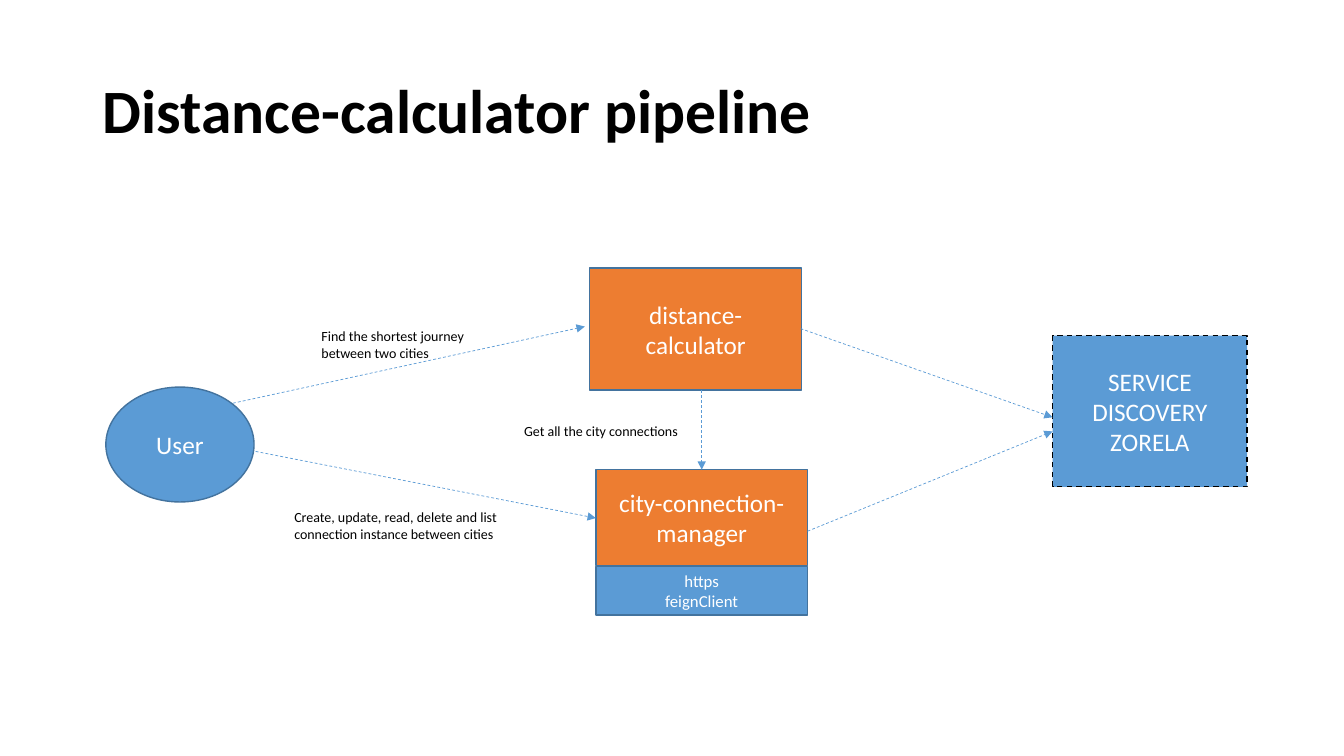
from dataclasses import dataclass

from lxml import etree
from pptx import Presentation
from pptx.dml.color import RGBColor
from pptx.enum.dml import MSO_LINE
from pptx.enum.shapes import MSO_CONNECTOR, MSO_SHAPE
from pptx.enum.text import MSO_ANCHOR, PP_ALIGN
from pptx.oxml.ns import qn
from pptx.util import Inches, Pt

RECT, OVAL = MSO_SHAPE.RECTANGLE, MSO_SHAPE.OVAL
STRAIGHT = MSO_CONNECTOR.STRAIGHT
DASH = MSO_LINE.DASH
TOP, MIDDLE = MSO_ANCHOR.TOP, MSO_ANCHOR.MIDDLE
LEFT, CENTER = PP_ALIGN.LEFT, PP_ALIGN.CENTER


@dataclass(frozen=True)
class Theme:
    font: str = "Calibri"
    blue: str = "5B9BD5"
    orange: str = "ED7D31"
    border: str = "43739E"
    black: str = "000000"
    white: str = "FFFFFF"
    title: int = 44
    node: int = 18
    detail: int = 12
    label: int = 10


THEME = Theme()


def rgb(value):
    return RGBColor.from_string(value)


def write(tf, lines, size, color, align=LEFT, anchor=TOP, bold=False, spacing=None):
    tf.vertical_anchor = anchor
    for i, line in enumerate(lines):
        p = tf.add_paragraph() if i else tf.paragraphs[0]
        p.text = line
        p.alignment = align
        p.line_spacing = spacing
        p.font.name = THEME.font
        p.font.size = Pt(size)
        p.font.bold = bold
        p.font.color.rgb = rgb(color)


def add_node(s, kind, box, lines, fill, size=THEME.node, border=THEME.border, dash=None):
    sp = s.shapes.add_shape(kind, *map(Inches, box))
    sp.shadow.inherit = False
    sp.fill.solid()
    sp.fill.fore_color.rgb = rgb(fill)
    sp.line.color.rgb = rgb(border)
    sp.line.width = Pt(1)
    if dash:
        sp.line.dash_style = dash
    sp.text_frame.word_wrap = True
    write(sp.text_frame, lines, size, THEME.white, CENTER, MIDDLE)


def add_text(s, box, lines, size, wrap=False, **style):
    tf = s.shapes.add_textbox(*map(Inches, box)).text_frame
    tf.word_wrap = wrap
    write(tf, lines, size, THEME.black, **style)


def add_arrow(s, start, end):
    cxn = s.shapes.add_connector(STRAIGHT, *map(Inches, start + end))
    cxn.line.color.rgb = rgb(THEME.blue)
    cxn.line.width = Pt(0.5)
    cxn.line.dash_style = DASH
    etree.SubElement(cxn.line._get_or_add_ln(), qn("a:tailEnd"), type="triangle")
    etree.SubElement(cxn._element.spPr, qn("a:effectLst"))


def main():
    prs = Presentation()
    prs.slide_width, prs.slide_height = Inches(13.33), Inches(7.5)
    s = prs.slides.add_slide(prs.slide_layouts[6])

    add_text(s, (0.92, 0.4, 11.5, 1.45), ["Distance-calculator pipeline"],
             THEME.title, wrap=True, anchor=MIDDLE, bold=True, spacing=0.9)

    add_node(s, RECT, (5.91, 4.66, 2.1, 0.95), ["city-connection-manager"], THEME.orange)
    add_node(s, RECT, (5.85, 2.66, 2.1, 1.21), ["distance-calculator"], THEME.orange)
    add_node(s, RECT, (10.44, 3.33, 1.93, 1.5), ["SERVICE DISCOVERY", "ZORELA"],
             THEME.blue, border=THEME.black, dash=DASH)

    for start, end in (
        ((7.94, 3.26), (10.44, 4.14)),
        ((8.01, 5.27), (10.44, 4.28)),
        ((2.31, 4), (5.8, 3.24)),
        ((6.96, 3.87), (6.96, 4.66)),
        ((2.39, 4.45), (5.91, 5.14)),
    ):
        add_arrow(s, start, end)

    add_node(s, OVAL, (1.05, 3.84, 1.47, 1.14), ["User"], THEME.blue)

    for box, lines in (
        ((2.82, 5, 2.28, 0.61),
         ["Create, update, read, delete and list", "connection instance between cities"]),
        ((5.1, 4.14, 1.75, 0.27), ["Get all the city connections"]),
        ((3.09, 3.2, 1.64, 0.44), ["Find the shortest journey", "between two cities"]),
    ):
        add_text(s, box, lines, THEME.label)

    add_node(s, RECT, (5.91, 5.62, 2.1, 0.48), ["https", "feignClient"],
             THEME.blue, THEME.detail)
    prs.save("out.pptx")


if __name__ == "__main__":
    main()
